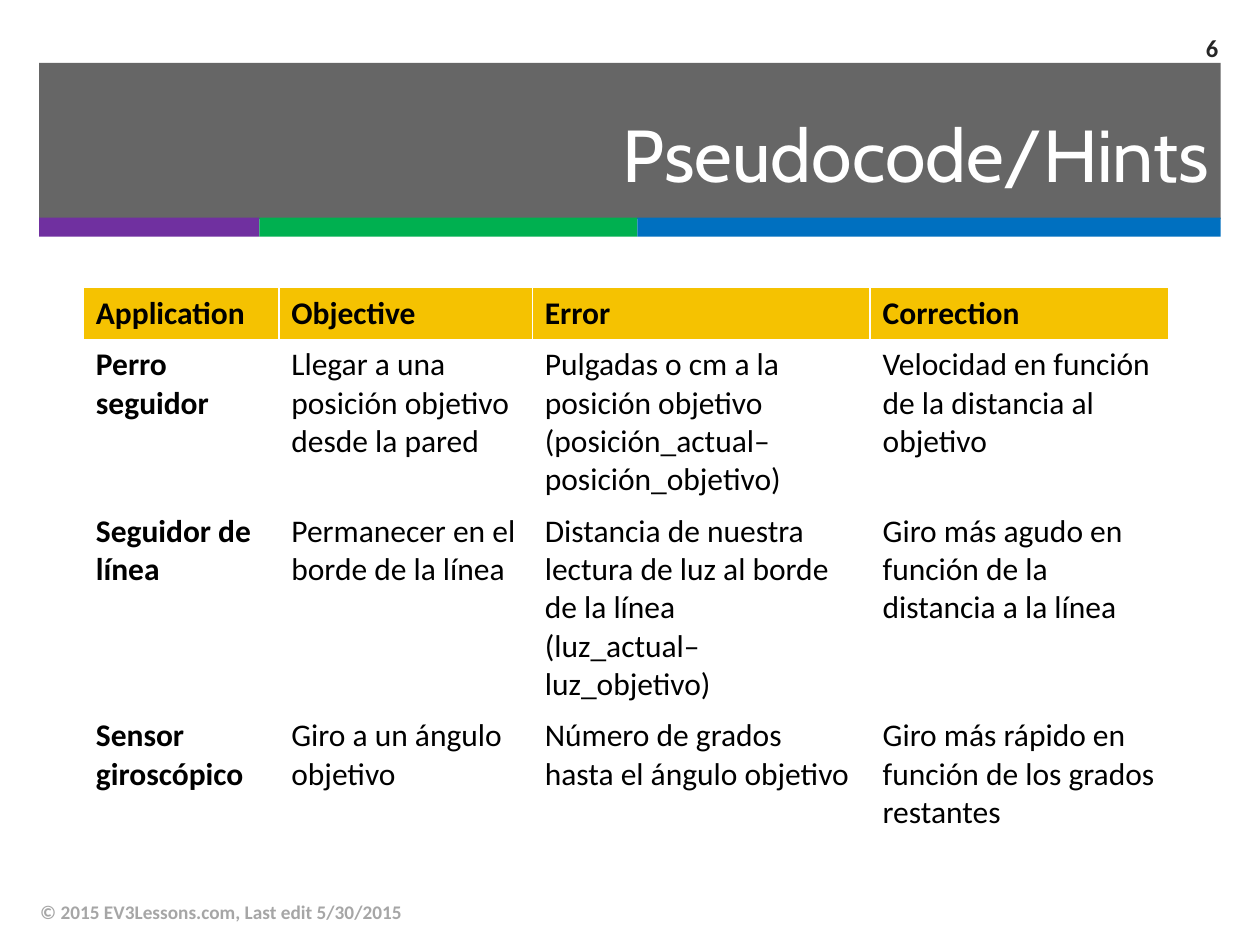
"""Build the Pseudocode/Hints slide with its banner, table and footer."""
from lxml import etree
from pptx import Presentation
from pptx.dml.color import RGBColor
from pptx.enum import shapes, text
from pptx.oxml import ns
from pptx.util import Cm, Pt

DARK = RGBColor(0x26, 0x26, 0x26)
WHITE = RGBColor(0xFF, 0xFF, 0xFF)
BLACK = RGBColor(0, 0, 0)
GREY = RGBColor(0xA6, 0xA6, 0xA6)
YELLOW = RGBColor(0xF5, 0xC2, 0x01)
PURPLE = RGBColor(0x70, 0x30, 0xA0)
GREEN = RGBColor(0x00, 0xB0, 0x50)
BLUE = RGBColor(0x00, 0x70, 0xC0)

BANNER_LEFT, BANNER_WIDTH = 0.79, 23.82
STRIPES = [(4.44, PURPLE), (7.62, GREEN), (11.76, BLUE)]

LABELS = [
    ("Pseudocode/Hints", (BANNER_LEFT, 1.75, BANNER_WIDTH, 2.69),
     "Cabin", 42, False, WHITE, text.PP_ALIGN.RIGHT),
    ("6", (23.06, 0.46, 1.75, 0.99),
     "Calibri", 14, True, DARK, text.PP_ALIGN.RIGHT),
    ("© 2015 EV3Lessons.com, Last edit 5/30/2015", (0.56, 17.88, 17.02, 1.02),
     "Calibri", 11, True, GREY, text.PP_ALIGN.LEFT),
]

COLUMN_WIDTHS = [3.94, 5.11, 6.81, 6.03]
ROW_HEIGHTS = [1.04, 3.35, 4.13, 2.43]
ROWS = [
    ("Application", "Objective", "Error", "Correction"),
    ("Perro seguidor",
     "Llegar a una posición objetivo desde la pared",
     "Pulgadas o cm a la posición objetivo (posición_actual– posición_objetivo)",
     "Velocidad en función de la distancia al objetivo"),
    ("Seguidor de línea",
     "Permanecer en el borde de la línea",
     "Distancia de nuestra lectura de luz al borde de la línea\v(luz_actual– luz_objetivo)",
     "Giro más agudo en función de la distancia a la línea"),
    ("Sensor giroscópico",
     "Giro a un ángulo objetivo",
     "Número de grados hasta el ángulo objetivo",
     "Giro más rápido en función de los grados restantes"),
]


def set_font(paragraph, name, size, bold, color):
    font = paragraph.font
    font.name, font.size, font.bold = name, Pt(size), bold
    font.color.rgb = color


def add_bar(slide, left, top, width, height, color):
    shape = slide.shapes.add_shape(
        shapes.MSO_SHAPE.RECTANGLE, Cm(left), Cm(top), Cm(width), Cm(height))
    shape.shadow.inherit = False
    shape.fill.solid()
    shape.fill.fore_color.rgb = color
    shape.line.fill.background()
    return shape


def add_banner(slide):
    banner = add_bar(slide, BANNER_LEFT, 1.27, BANNER_WIDTH, 3.15, DARK)
    color = banner.fill._xPr.find(".//" + ns.qn("a:srgbClr"))
    etree.SubElement(color, ns.qn("a:alpha"), val="70000")
    left = BANNER_LEFT
    for width, color in STRIPES:
        add_bar(slide, left, 4.39, width, 0.38, color)
        left += width


def add_label(slide, wording, box, name, size, bold, color, alignment):
    frame = slide.shapes.add_textbox(*map(Cm, box)).text_frame
    frame.word_wrap = True
    frame.vertical_anchor = text.MSO_ANCHOR.MIDDLE
    paragraph = frame.paragraphs[0]
    paragraph.text = wording
    paragraph.alignment = alignment
    set_font(paragraph, name, size, bold, color)


def add_hints_table(slide):
    table = slide.shapes.add_table(
        len(ROWS), len(COLUMN_WIDTHS), Cm(1.68), Cm(5.8),
        Cm(sum(COLUMN_WIDTHS)), Cm(sum(ROW_HEIGHTS))).table
    table.horz_banding = False
    for column, width in zip(table.columns, COLUMN_WIDTHS):
        column.width = Cm(width)
    for row_index, (row, height) in enumerate(zip(table.rows, ROW_HEIGHTS)):
        row.height = Cm(height)
        for column_index, cell in enumerate(row.cells):
            if row_index == 0:
                cell.fill.solid()
                cell.fill.fore_color.rgb = YELLOW
            else:
                cell.fill.background()
            paragraph = cell.text_frame.paragraphs[0]
            paragraph.text = ROWS[row_index][column_index]
            bold = row_index == 0 or column_index == 0
            set_font(paragraph, "Calibri", 18, bold, BLACK)


def main():
    presentation = Presentation()
    presentation.slide_width, presentation.slide_height = Cm(25.4), Cm(19.05)
    slide = presentation.slides.add_slide(presentation.slide_layouts[6])
    add_banner(slide)
    add_hints_table(slide)
    for label in LABELS:
        add_label(slide, *label)
    presentation.save("out.pptx")


if __name__ == "__main__":
    main()
